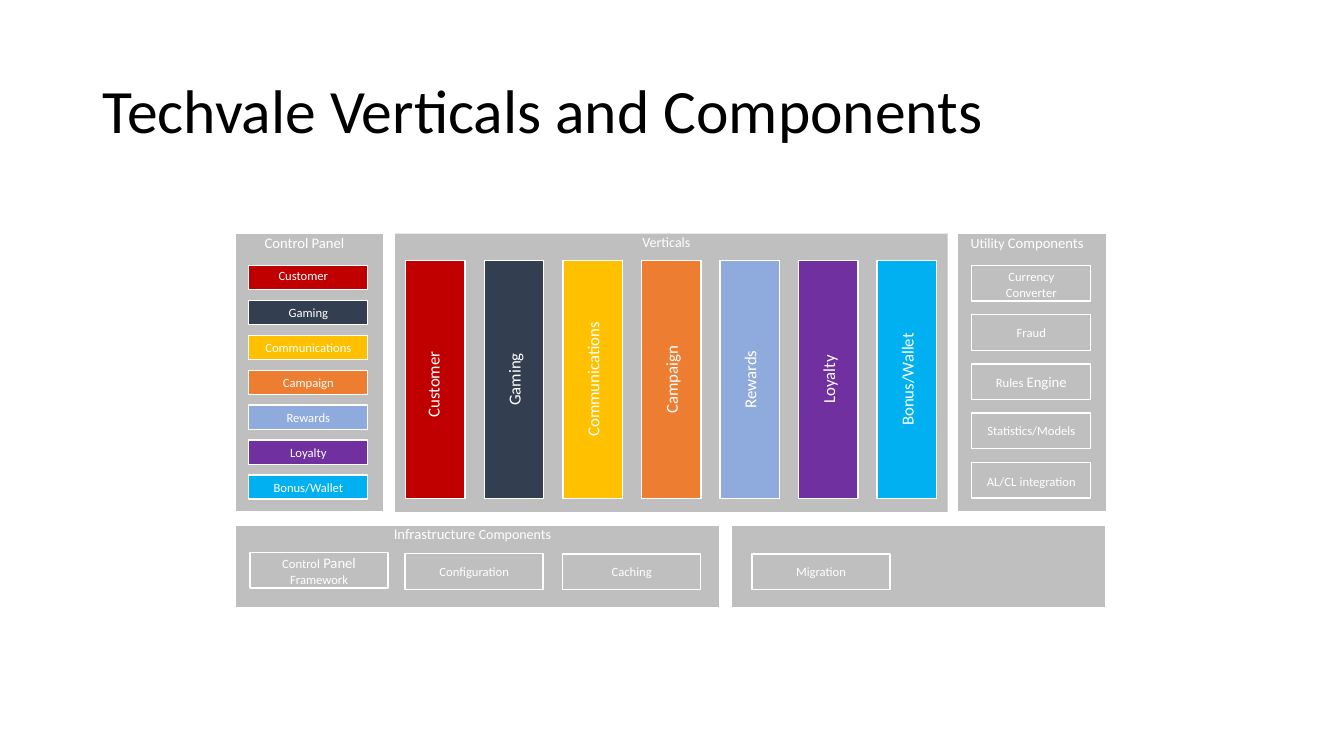
from pptx import Presentation
from pptx.dml.color import RGBColor
from pptx.enum.shapes import MSO_SHAPE as Shape
from pptx.enum.text import MSO_ANCHOR as Anchor, PP_ALIGN as Align
from pptx.util import Cm, Pt

# Content: each label is a list of (text, size) runs
TITLE = "Techvale Verticals and Components"
COLORS = {
    "panel": "BFBFBF", "white": "FFFFFF", "black": "000000",
    "Customer": "C00000", "Gaming": "333F50", "Communications": "FFC000",
    "Campaign": "ED7D31", "Rewards": "8FAADC", "Loyalty": "7030A0",
    "Bonus/Wallet": "00B0F0",
}
VERTICALS = ["Customer", "Gaming", "Communications", "Campaign",
             "Rewards", "Loyalty", "Bonus/Wallet"]
UTILITIES = [
    [("Currency", 9), (" ", 10.5), ("Converter", 9)],
    [("Fraud", 9)],
    [("Rules", 9), (" Engine", 10.5)],
    [("Statistics/Models", 9)],
    [("AL/CL", 9), (" ", 10.5), ("integration", 9)],
]
# Panels: left, top, width, height in cm, outlined, heading
PANELS = [
    (9.96, 5.89, 13.92, 7.01, False, [("Verticals", 10)]),
    (24.13, 5.89, 3.76, 7.01, True, [("Utility", 10), (" Components", 10.5)]),
    (5.92, 13.23, 12.22, 2.08, True,
     [("Infrastructure ", 10.5), ("Components", 10)]),
    (5.92, 5.89, 3.76, 7.01, True, [("Control Panel", 10.5)]),
    (18.44, 13.23, 9.42, 2.08, True, []),
]
# Bottom row: left, top in cm, label
INFRASTRUCTURE = [
    (6.3, 13.92, [("Control", 9), (" Panel ", 10.5), ("Framework", 9)]),
    (10.21, 13.95, [("Configuration", 9)]),
    (14.18, 13.96, [("Caching", 9)]),
    (18.95, 13.96, [("Migration", 9)]),
]


def rgb(name):
    return RGBColor.from_string(COLORS[name])


def add_runs(paragraph, runs, color):
    for text, size in runs:
        run = paragraph.add_run()
        run.text = text
        run.font.name = "Calibri"
        run.font.size = Pt(size)
        run.font.color.rgb = rgb(color)


def add_box(slide, left, top, width, height, fill, runs,
            outlined=True, anchor=Anchor.MIDDLE, flush=False):
    """Add a rectangle; flush drops the left and top text margins."""
    box = slide.shapes.add_shape(
        Shape.RECTANGLE, Cm(left), Cm(top), Cm(width), Cm(height))
    box.shadow.inherit = False
    box.fill.solid()
    box.fill.fore_color.rgb = rgb(fill)
    if outlined:
        box.line.color.rgb = rgb("white")
        box.line.width = Pt(1)
    else:
        box.line.fill.background()
    frame = box.text_frame
    frame.word_wrap = True
    frame.vertical_anchor = anchor
    if flush:
        frame.margin_left = frame.margin_top = 0
    paragraph = frame.paragraphs[0]
    paragraph.alignment = Align.CENTER
    add_runs(paragraph, runs, "white")
    return box


def main():
    presentation = Presentation()
    presentation.slide_width, presentation.slide_height = Cm(33.87), Cm(19.05)
    slide = presentation.slides.add_slide(presentation.slide_layouts[5])

    # Title
    title = slide.shapes.title
    title.left, title.top = Cm(2.33), Cm(1.01)
    title.width, title.height = Cm(29.21), Cm(3.68)
    title.text_frame.vertical_anchor = Anchor.MIDDLE
    paragraph = title.text_frame.paragraphs[0]
    paragraph.alignment = Align.LEFT
    paragraph.line_spacing = 0.9
    add_runs(paragraph, [(TITLE, 44)], "black")

    # Grey panels with headings at the top
    for left, top, width, height, outlined, heading in PANELS:
        add_box(slide, left, top, width, height, "panel", heading,
                outlined, Anchor.TOP, flush=True)

    # Verticals: one upright bar and one control panel button each
    for index, name in enumerate(VERTICALS):
        flush = index == 0
        bar = add_box(slide, 7.98 + 1.98 * index, 8.81, 5.99, 1.5,
                      name, [(name, 12)], flush=flush)
        bar.rotation = 270
        add_box(slide, 6.27, 6.69 + 0.88 * index, 3, 0.61,
                name, [(name, 9)], flush=flush)

    # Utility components
    for index, label in enumerate(UTILITIES):
        add_box(slide, 24.49, 6.69 + 1.24 * index, 3, 0.9, "panel", label)

    # Infrastructure components and migration
    for left, top, label in INFRASTRUCTURE:
        add_box(slide, left, top, 3.48, 0.9, "panel", label)

    presentation.save("out.pptx")


if __name__ == "__main__":
    main()
